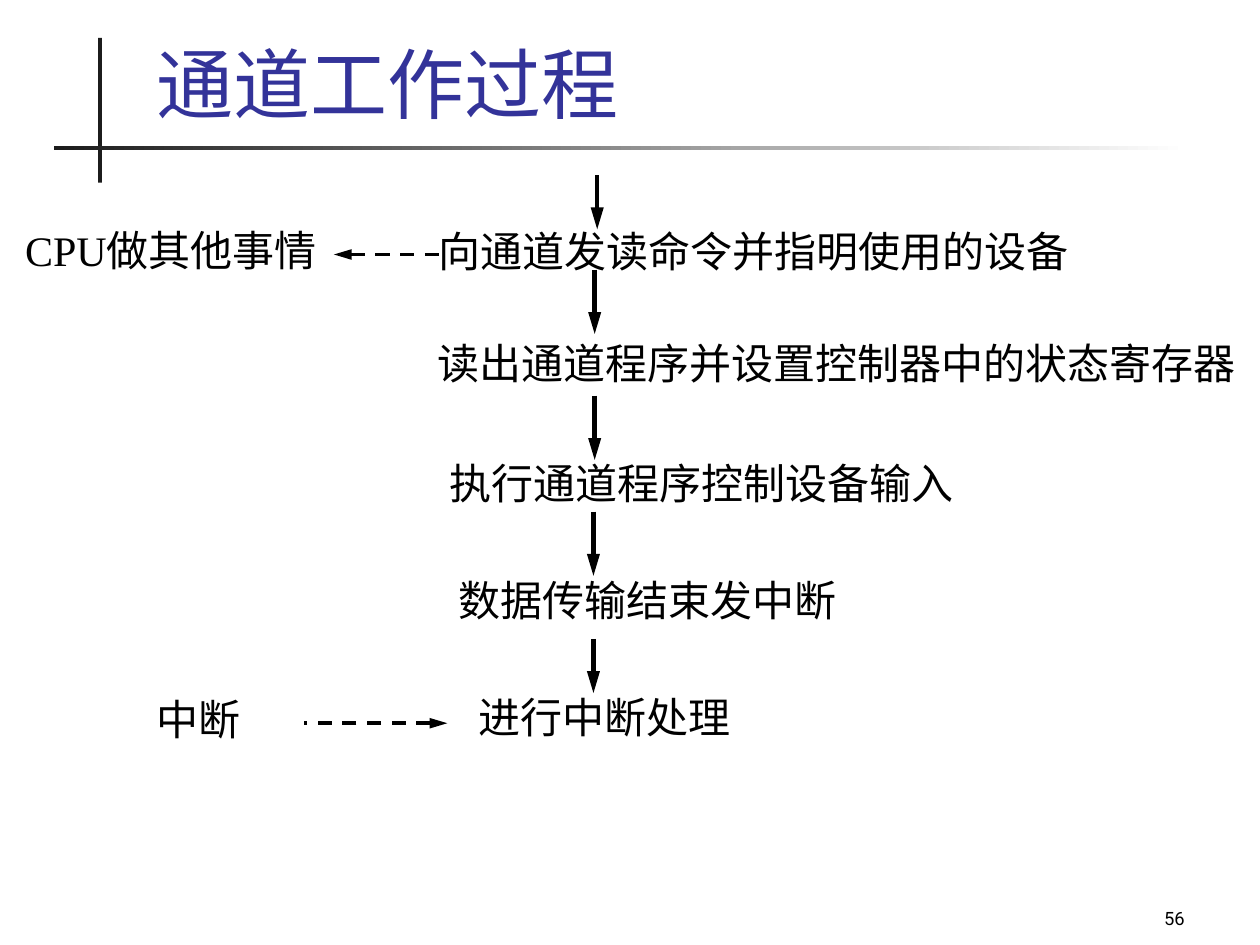
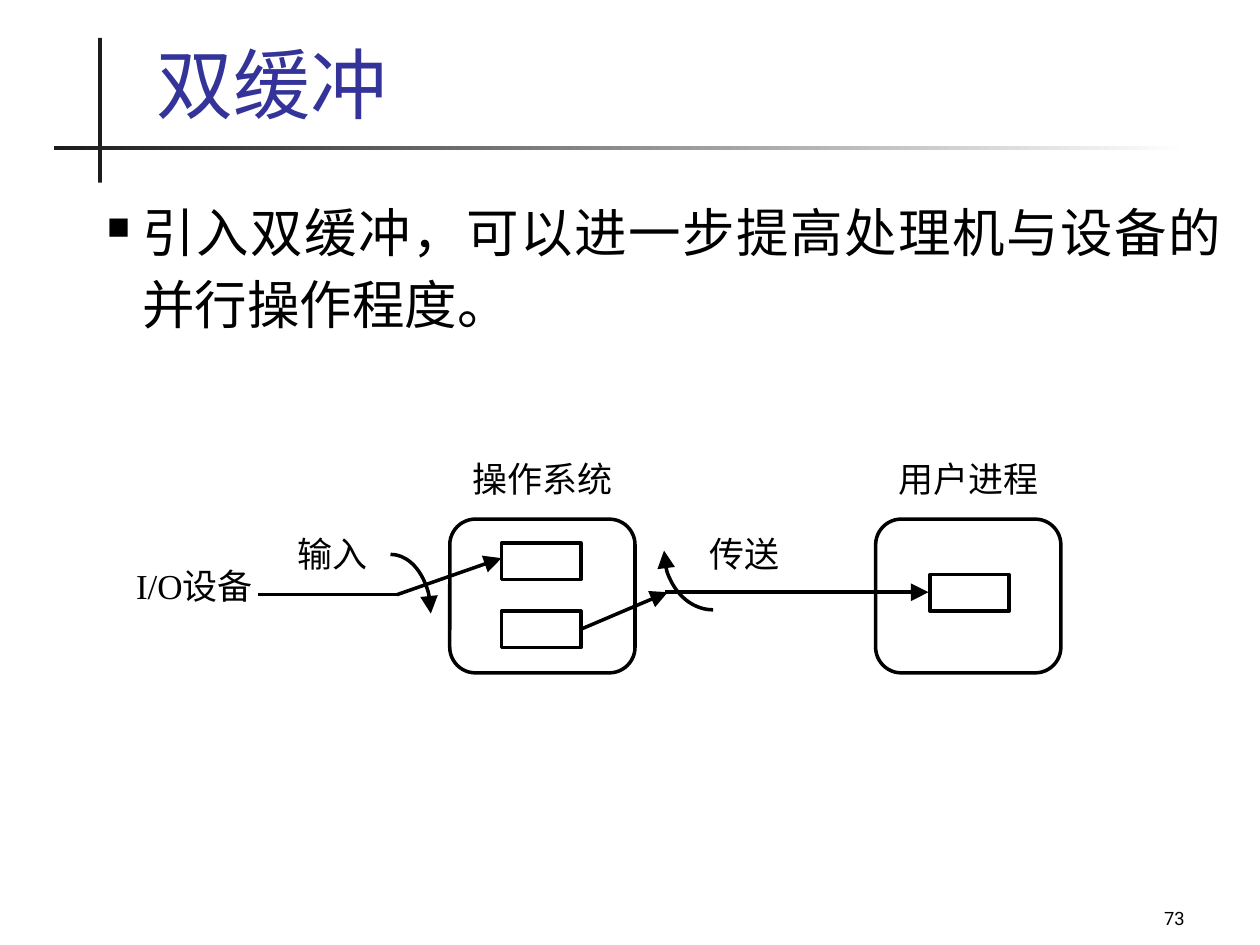
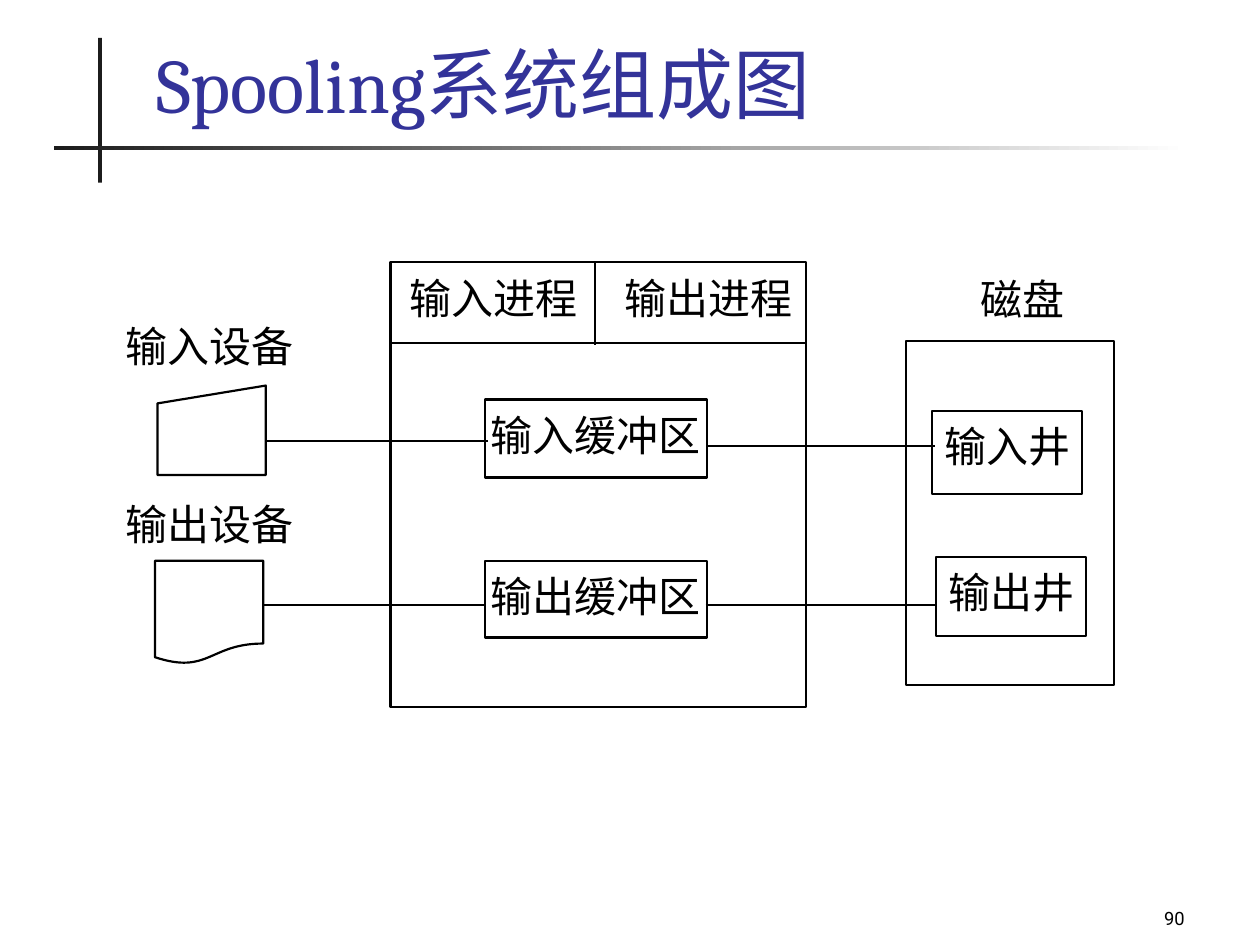
from lxml.etree import SubElement
from pptx import Presentation
from pptx.dml.color import RGBColor
from pptx.enum.dml import MSO_LINE
from pptx.enum.lang import MSO_LANGUAGE_ID
from pptx.enum.shapes import MSO_CONNECTOR, MSO_SHAPE
from pptx.enum.text import MSO_ANCHOR, PP_ALIGN
from pptx.oxml.ns import qn
from pptx.util import Inches, Pt

BLACK = RGBColor(0x00, 0x00, 0x00)
WHITE = RGBColor(0xFF, 0xFF, 0xFF)
CHARCOAL = RGBColor(0x1C, 0x1C, 0x1C)
INDIGO = RGBColor(0x33, 0x33, 0x99)

HEADING_FONT = "Cambria"
LABEL_FONT = "Times New Roman"
NUMBER_FONT = "Roboto"


class Deck:
    """Holds the shared style and the slide being drawn."""

    def __init__(self):
        self.presentation = Presentation()
        self.presentation.slide_width = Inches(10)
        self.presentation.slide_height = Inches(7.5)
        self.slide = None
        self.line_width = 2
        self.arrow_width = "med"

    def new_slide(self, title, number, line_width, arrow_width="med"):
        self.slide = self.presentation.slides.add_slide(self.presentation.slide_layouts[6])
        self.line_width = line_width
        self.arrow_width = arrow_width

        # Crossed rules behind the title
        upright = self.bare_shape(MSO_SHAPE.RECTANGLE, 0.78, 0.3, 0.03, 1.15)
        upright.fill.solid()
        upright.fill.fore_color.rgb = CHARCOAL
        upright.line.fill.background()
        rule = self.bare_shape(MSO_SHAPE.RECTANGLE, 0.43, 1.16, 9, 0.03)
        rule.fill.gradient()
        rule.fill.gradient_angle = 0
        for stop, color in zip(rule.fill.gradient_stops, (CHARCOAL, WHITE)):
            stop.color.rgb = color
        rule.line.fill.background()

        # Title and page number
        self.text(title, 1.14, 0.25, 8.59, 0.82, 44, HEADING_FONT, INDIGO,
                  PP_ALIGN.LEFT, (0.1, 0.05), MSO_ANCHOR.BOTTOM)
        self.text(number, 7.42, 6.92, 2.08, 0.5, 10.5, NUMBER_FONT, BLACK,
                  PP_ALIGN.RIGHT, (0.1, 0.05), MSO_ANCHOR.BOTTOM)

    def bare_shape(self, kind, left, top, width, height):
        shape = self.slide.shapes.add_shape(
            kind, Inches(left), Inches(top), Inches(width), Inches(height))
        shape.shadow.inherit = False
        return shape

    def set_text(self, shape, text, size, font=LABEL_FONT, color=BLACK, align=PP_ALIGN.JUSTIFY,
                 margins=(0, 0), anchor=MSO_ANCHOR.TOP):
        frame = shape.text_frame
        frame.word_wrap = True
        frame.vertical_anchor = anchor
        frame.margin_left = frame.margin_right = Inches(margins[0])
        frame.margin_top = frame.margin_bottom = Inches(margins[1])
        paragraph = frame.paragraphs[0]
        paragraph.alignment = align
        run = paragraph.add_run()
        run.text = text
        run.font.size = Pt(size)
        run.font.name = font
        run.font.color.rgb = color
        run.font.language_id = MSO_LANGUAGE_ID.SIMPLIFIED_CHINESE
        return paragraph

    def text(self, text, left, top, width, height, size, *style):
        box = self.slide.shapes.add_textbox(
            Inches(left), Inches(top), Inches(width), Inches(height))
        return self.set_text(box, text, size, *style)

    def label(self, text, left, top, width, size=24, inset=0):
        self.text(text, left, top, width, 0.45, size, LABEL_FONT, BLACK,
                  PP_ALIGN.JUSTIFY, (0, inset))

    def bullet(self, text, left, top, width, height):
        paragraph = self.text(text, left, top, width, height, 30, HEADING_FONT, BLACK,
                              PP_ALIGN.JUSTIFY, (0.1, 0.05))
        paragraph.line_spacing = 1.14
        properties = paragraph._p.get_or_add_pPr()
        properties.set("marL", str(Inches(0.28)))
        properties.set("indent", str(Inches(-0.28)))
        bullet_color = SubElement(properties, qn("a:buClr"))
        SubElement(bullet_color, qn("a:srgbClr"), val=str(BLACK))
        SubElement(properties, qn("a:buSzPct"), val="60000")
        SubElement(properties, qn("a:buChar"), char="■")

    def outline(self, line):
        line.width = Pt(self.line_width)
        line.color.rgb = BLACK

    def box(self, left, top, width, height, text=None, kind=MSO_SHAPE.RECTANGLE):
        shape = self.bare_shape(kind, left, top, width, height)
        shape.fill.solid()
        shape.fill.fore_color.rgb = WHITE
        self.outline(shape.line)
        if text:
            self.set_text(shape, text, 24, align=PP_ALIGN.CENTER)
            shape.text_frame.margin_top = Inches(0.08)
        return shape

    def tabbed_box(self, left, top, width, height, texts, stops):
        shape = self.box(left, top, width, height)
        paragraph = self.set_text(shape, "".join("\t" + text for text in texts), 24,
                                  align=PP_ALIGN.LEFT)
        shape.text_frame.margin_top = Inches(0.08)
        tabs = SubElement(paragraph._p.get_or_add_pPr(), qn("a:tabLst"))
        for stop in stops:
            SubElement(tabs, qn("a:tab"), pos=str(Inches(stop)), algn="l")

    def arrowhead(self, shape, end):
        outline = shape._element.spPr.find(qn("a:ln"))
        SubElement(outline, qn(f"a:{end}"), type="triangle", w=self.arrow_width, len="lg")

    def line(self, start, finish, arrow=None, dashed=False):
        connector = self.slide.shapes.add_connector(
            MSO_CONNECTOR.STRAIGHT, *(Inches(value) for value in start + finish))
        self.outline(connector.line)
        if dashed:
            connector.line.dash_style = MSO_LINE.DASH
        if arrow:
            self.arrowhead(connector, arrow)
        SubElement(connector._element.spPr, qn("a:effectLst"))

    def arc_arrow(self, center, radii, start_angle, end_angle):
        (x, y), (across, down) = center, radii
        arc = self.bare_shape(MSO_SHAPE.ARC, x - across, y - down, 2 * across, 2 * down)
        # Angles are stored in 60000ths of a degree, adjustments in 100000ths
        arc.adjustments[0] = start_angle * 0.6
        arc.adjustments[1] = end_angle * 0.6
        arc.fill.background()
        self.outline(arc.line)
        self.arrowhead(arc, "tailEnd")


def channel_slide(deck):
    deck.new_slide("通道工作过程", "56", 2)

    # Processor side
    deck.line((3.55, 5.74), (2.41, 5.74), "headEnd", dashed=True)
    deck.line((2.65, 2.02), (3.5, 2.02), "headEnd", dashed=True)
    deck.label("CPU做其他事情", 0.2, 1.78, 2.43)
    deck.label("中断", 1.24, 5.5, 0.76)

    # Channel steps
    for step, left, top, width in (
            ("向通道发读命令并指明使用的设备", 3.48, 1.79, 5.22),
            ("读出通道程序并设置控制器中的状态寄存器", 3.47, 2.68, 6.4),
            ("执行通道程序控制设备输入", 3.57, 3.63, 4.24),
            ("数据传输结束发中断", 3.64, 4.56, 5.08),
            ("进行中断处理", 3.8, 5.49, 2.05)):
        deck.label(step, left, top, width)

    # Arrows between steps
    deck.line_width = 2.5
    for x, top, length in ((4.74, 1.39, 0.43), (4.72, 2.14, 0.51), (4.72, 3.14, 0.51),
                           (4.71, 4.06, 0.51), (4.71, 5.07, 0.43)):
        deck.line((x, top), (x, top + length), "tailEnd")


def double_buffer_slide(deck):
    deck.new_slide("双缓冲", "73", 2, arrow_width="lg")
    deck.bullet("引入双缓冲，可以进一步提高处理机与设备的并行操作程度。", 0.75, 1.47, 9.05, 1.21)

    # System and process, with their buffers
    for left in (3.57, 6.95):
        deck.box(left, 4.12, 1.47, 1.22, kind=MSO_SHAPE.ROUNDED_RECTANGLE)
    for left, top in ((3.98, 4.31), (3.98, 4.85), (7.38, 4.56)):
        deck.box(left, top, 0.63, 0.29)
    for name, left, top, width in (("操作系统", 3.75, 3.58, 1.15), ("用户进程", 7.13, 3.58, 1.15),
                                   ("I/O设备", 1.08, 4.43, 1.04), ("输入", 2.36, 4.18, 0.77),
                                   ("传送", 5.63, 4.18, 0.78)):
        deck.label(name, left, top, width, size=20, inset=0.05)

    # Data flow and the switching arcs
    deck.line((2.05, 4.72), (3.17, 4.72))
    deck.line((3.15, 4.72), (3.98, 4.43), "tailEnd")
    deck.line((4.62, 4.99), (5.3, 4.7), "tailEnd")
    deck.line((5.28, 4.7), (7.37, 4.7), "tailEnd")
    deck.arc_arrow((3.1, 4.87), (0.32, 0.47), 270, 0)
    deck.arc_arrow((5.66, 4.37), (0.39, 0.47), 90, 180)


def spooling_slide(deck):
    deck.new_slide("Spooling系统组成图", "90", 1.25)

    # Memory with its two processes
    deck.tabbed_box(3.1, 2.08, 3.3, 3.53, ("输入进程", "输出进程"), (0.15, 1.86))
    deck.line((3.1, 2.72), (6.39, 2.72))
    deck.line((4.72, 2.08), (4.72, 2.74))
    deck.box(3.85, 3.17, 1.76, 0.62, "输入缓冲区")
    deck.box(3.85, 4.45, 1.76, 0.61, "输出缓冲区")

    # Devices
    deck.box(1.25, 3.06, 0.86, 0.71, kind=MSO_SHAPE.FLOWCHART_MANUAL_INPUT)
    deck.box(1.23, 4.45, 0.86, 0.82, kind=MSO_SHAPE.FLOWCHART_DOCUMENT)
    deck.label("输入设备", 1, 2.54, 1.36)
    deck.label("输出设备", 1, 3.96, 1.36)

    # Disk
    deck.box(7.19, 2.71, 1.65, 2.73)
    deck.label("磁盘", 7.78, 2.17, 0.97)
    deck.box(7.4, 3.26, 1.19, 0.66, "输入井")
    deck.box(7.43, 4.42, 1.19, 0.63, "输出井")

    # Links
    for left, right, y in ((2.11, 3.87, 3.5), (2.09, 3.85, 4.8),
                           (5.61, 7.42, 3.54), (5.6, 7.43, 4.8)):
        deck.line((left, y), (right, y))


def main():
    deck = Deck()
    channel_slide(deck)
    double_buffer_slide(deck)
    spooling_slide(deck)
    deck.presentation.save("out.pptx")


if __name__ == "__main__":
    main()
